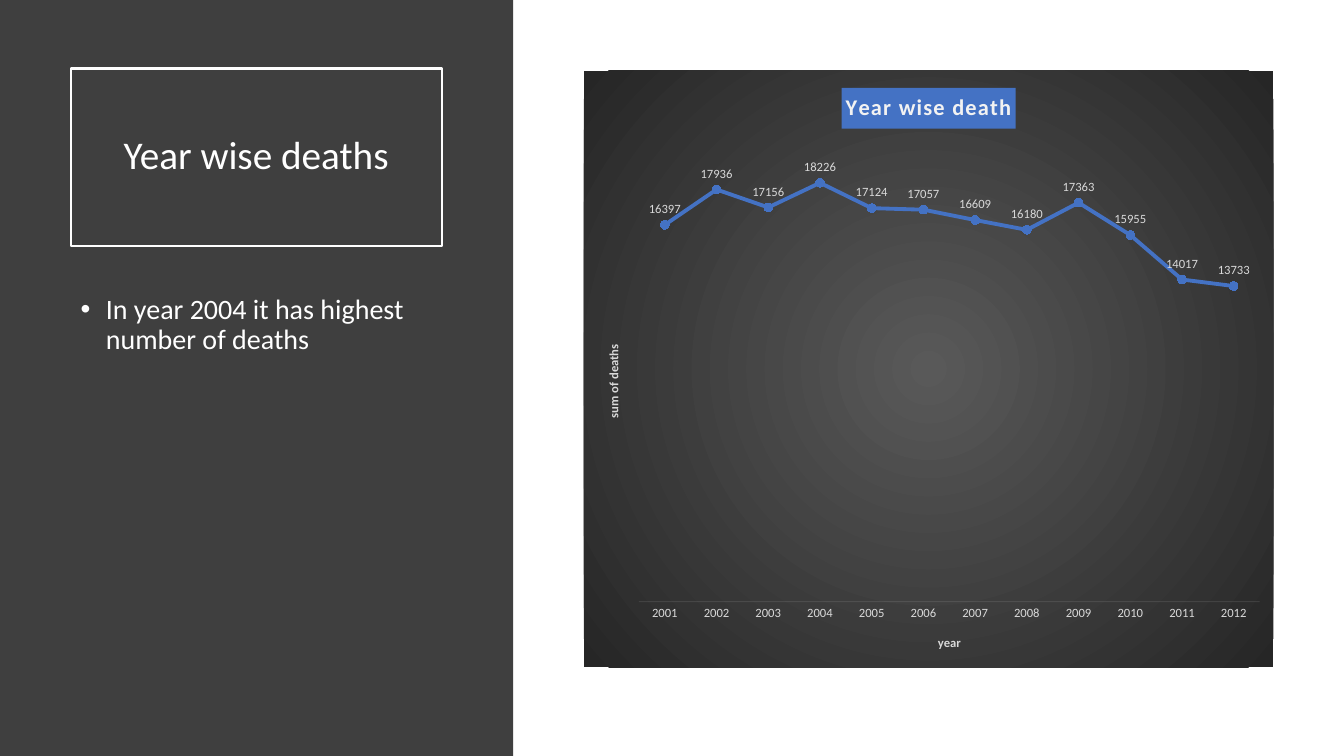
from dataclasses import dataclass
from typing import Any

from lxml import etree
from pptx import Presentation
from pptx.chart import data as chart_data
from pptx.dml.color import RGBColor
from pptx.enum import chart as ch, shapes, text
from pptx.oxml import parse_xml
from pptx.oxml.ns import nsdecls, qn
from pptx.util import Inches, Pt

WHITE = RGBColor(0xFF, 0xFF, 0xFF)
PANEL = RGBColor(0x3F, 0x3F, 0x3F)
PALE = RGBColor(0xF2, 0xF2, 0xF2)
LABEL = RGBColor(0xD9, 0xD9, 0xD9)
BLUE = RGBColor(0x44, 0x72, 0xC4)
MARKER = RGBColor(0x3E, 0x70, 0xCA)
GLOW = RGBColor(0x59, 0x59, 0x59)
EDGE = RGBColor(0x26, 0x26, 0x26)
FONT = "Calibri"

DEATHS = {
    2001: 16397, 2002: 17936, 2003: 17156, 2004: 18226,
    2005: 17124, 2006: 17057, 2007: 16609, 2008: 16180,
    2009: 17363, 2010: 15955, 2011: 14017, 2012: 13733,
}


@dataclass
class Words:
    content: str
    top: float
    height: float
    size: int
    frame: dict[str, Any]
    paragraph: dict[str, Any]


def apply(target: Any, values: dict[str, Any]) -> None:
    for name, value in values.items():
        setattr(target, name, value)


def style_font(font: Any, size: float, color: RGBColor, bold: bool = False) -> None:
    apply(font, {"name": FONT, "size": Pt(size), "bold": bold})
    font.color.rgb = color


def fill_placeholder(holder: Any, words: Words) -> Any:
    apply(holder, {"left": Inches(0.7), "top": Inches(words.top),
                   "width": Inches(3.68), "height": Inches(words.height)})
    frame = holder.text_frame
    frame.text = words.content
    apply(frame, {"word_wrap": True, "auto_size": text.MSO_AUTO_SIZE.NONE, **words.frame})
    paragraph = frame.paragraphs[0]
    apply(paragraph, {"line_spacing": 0.9, **words.paragraph})
    style_font(paragraph.runs[0].font, words.size, WHITE)
    return paragraph


def caption(title: Any, content: str, size: float, color: RGBColor, spacing: int = 0) -> None:
    title.text_frame.text = content
    run = title.text_frame.paragraphs[0].runs[0]
    style_font(run.font, size, color, bold=True)
    run.font._element.set("spc", str(spacing))


prs = Presentation()
apply(prs, {"slide_width": Inches(13.33), "slide_height": Inches(7.5)})
slide = prs.slides.add_slide(prs.slide_layouts[1])

# Dark side panel, behind the placeholders
panel = slide.shapes.add_shape(shapes.MSO_SHAPE.RECTANGLE, 0, 0, Inches(5.09), Inches(7.5))
panel.shadow.inherit = False
panel.fill.solid()
panel.fill.fore_color.rgb = PANEL
panel.line.fill.background()
slide.shapes.element.insert(2, panel.element)

# Heading and finding
heading = slide.shapes.title
fill_placeholder(heading, Words(
    "Year wise deaths", 0.68, 1.76, 28,
    {"vertical_anchor": text.MSO_ANCHOR.MIDDLE}, {"alignment": text.PP_ALIGN.CENTER}))
heading.line.color.rgb = WHITE
heading.line.width = Pt(1.5)

finding = fill_placeholder(slide.placeholders[1], Words(
    "In year 2004 it has highest number of deaths", 2.88, 3.74, 20,
    {"vertical_anchor": text.MSO_ANCHOR.TOP},
    {"alignment": text.PP_ALIGN.LEFT, "space_before": Pt(10)}))
finding_format = finding._p.get_or_add_pPr()
finding_format.set("marL", str(Inches(0.25)))
finding_format.set("indent", str(Inches(-0.25)))
finding_format.append(parse_xml(f'<a:buFont {nsdecls("a")} typeface="Arial"/>'))
finding_format.append(parse_xml(f'<a:buChar {nsdecls("a")} char="•"/>'))

# Line chart
yearly = chart_data.CategoryChartData()
yearly.categories = [str(year) for year in DEATHS]
yearly.add_series("Series 1", list(DEATHS.values()))
chart = slide.shapes.add_chart(
    ch.XL_CHART_TYPE.LINE_MARKERS, Inches(5.79), Inches(0.7),
    Inches(6.84), Inches(5.92), yearly).chart
style_font(chart.font, 10, WHITE)
apply(chart, {"has_legend": False, "has_title": True})
caption(chart.chart_title, "Year wise death", 16, PALE, spacing=100)
chart.chart_title.include_in_layout = False
chart.chart_title.format.fill.solid()
chart.chart_title.format.fill.fore_color.rgb = BLUE

# Axes
years, counts = chart.category_axis, chart.value_axis
for axis, name in ((years, "year"), (counts, "sum of deaths")):
    apply(axis, {"has_major_gridlines": False, "major_tick_mark": ch.XL_TICK_MARK.NONE})
    caption(axis.axis_title, name, 9, LABEL)
apply(counts, {"minimum_scale": 0, "maximum_scale": 20000, "visible": False})
style_font(years.tick_labels.font, 9, LABEL)
years.format.line.width = Pt(0.75)
years.format.line.color.rgb = PALE
year_color = next(years.format.line._ln.iter(qn("a:srgbClr")))
etree.SubElement(year_color, qn("a:alpha"), val="10000")

# Series with values above the points
plot = chart.plots[0]
plot.vary_by_categories = False
deaths = plot.series[0]
deaths.smooth = False
deaths.format.line.color.rgb = BLUE
deaths.format.line.width = Pt(2.75)
apply(deaths.marker, {"style": ch.XL_MARKER_STYLE.CIRCLE, "size": 6})
deaths.marker.format.fill.solid()
deaths.marker.format.fill.fore_color.rgb = MARKER
deaths.marker.format.line.color.rgb = BLUE
labels = deaths.data_labels
apply(labels, {"show_value": True, "position": ch.XL_LABEL_POSITION.ABOVE})
style_font(labels.font, 9, LABEL)

# Plot area position, as shares of the chart
plot_area = chart.element.chart.plotArea
for old_layout in plot_area.findall(qn("c:layout")):
    plot_area.remove(old_layout)
shares = "".join(f'<c:{key} val="{value}"/>' for key, value in (
    ("layoutTarget", "inner"), ("xMode", "edge"), ("yMode", "edge"),
    ("x", 0.08), ("y", 0.12), ("w", 0.9), ("h", 0.77)))
plot_area.insert(0, parse_xml(
    f'<c:layout {nsdecls("c")}><c:manualLayout>{shares}</c:manualLayout></c:layout>'))

# Radial chart background
stops = "".join(f'<a:gs pos="{pos}"><a:srgbClr val="{color}"/></a:gs>'
                for pos, color in ((0, GLOW), (100000, EDGE)))
chart.element.chart.addnext(parse_xml(
    f'<c:spPr {nsdecls("c", "a")}><a:gradFill><a:gsLst>{stops}</a:gsLst>'
    '<a:path path="circle"><a:fillToRect l="50000" t="50000" r="50000" b="50000"/></a:path>'
    '</a:gradFill><a:ln><a:noFill/></a:ln></c:spPr>'))

prs.save("out.pptx")
